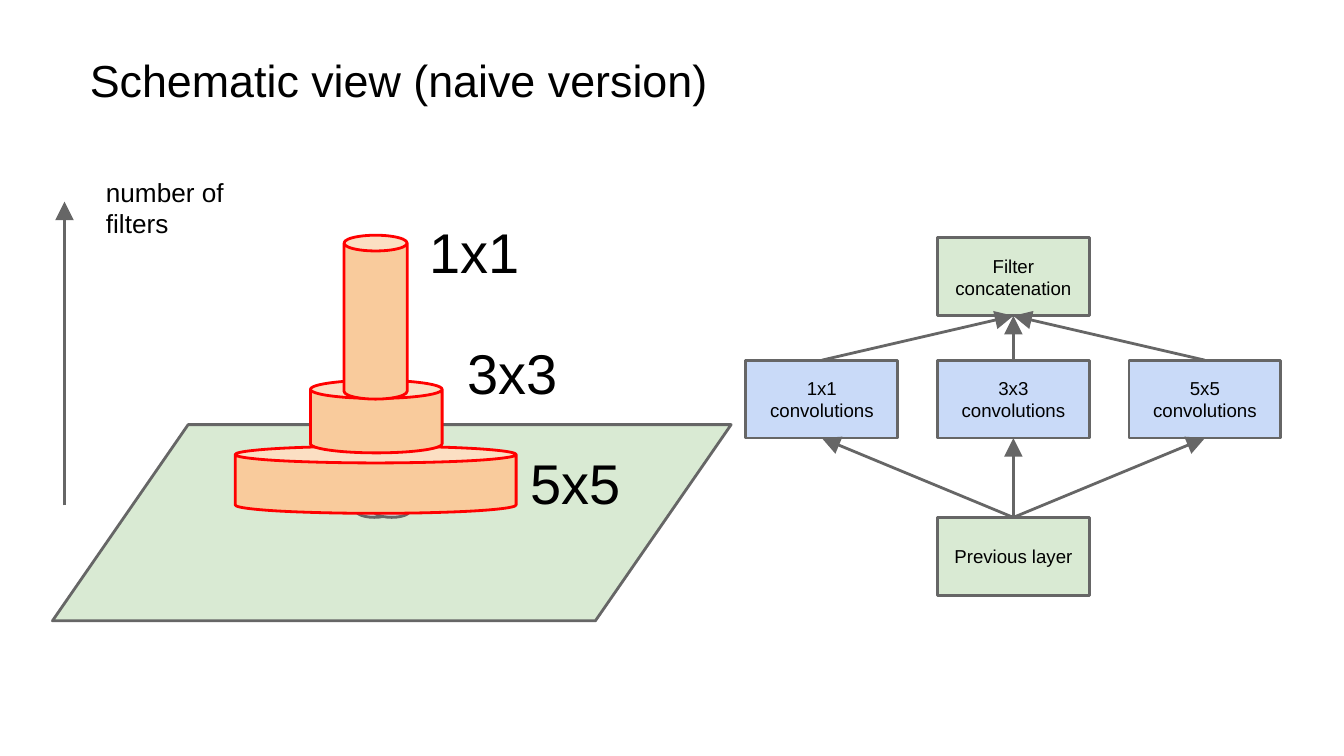
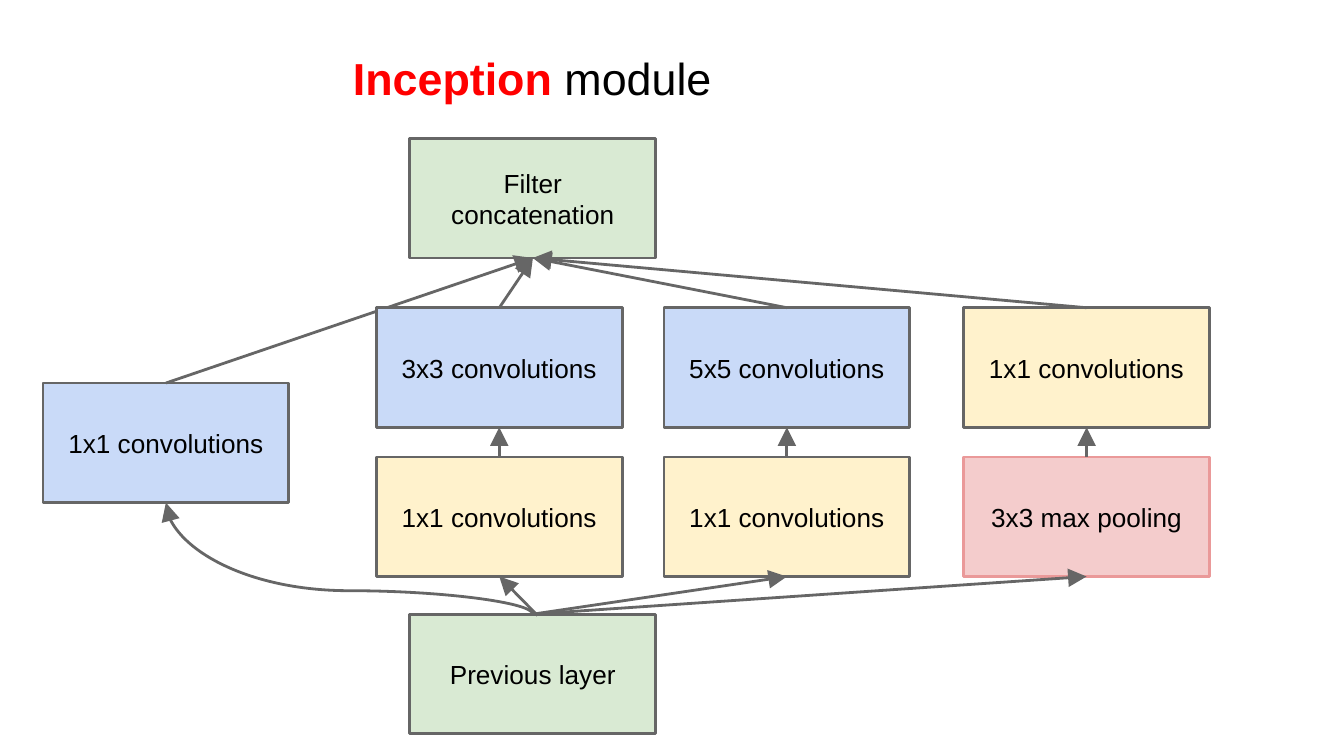
from pptx import Presentation
from pptx.util import Inches, Pt
from pptx.dml.color import RGBColor as Rgb
from pptx.enum.shapes import MSO_SHAPE as Kind, MSO_CONNECTOR as Link
from pptx.enum.text import PP_ALIGN as Align, MSO_ANCHOR as Anchor
from pptx.oxml.ns import qn
from lxml.etree import SubElement as Sub

HUES = {
    "ink": "000000", "red": "FF0000", "edge": "666666",
    "green": "D9EAD3", "blue": "C9DAF8", "cream": "FFF2CC",
    "pink": "F4CCCC", "rose": "EA9999", "peach": "F9CB9C", "gray": "CCCCCC",
}
FONT = "Arial"
COLS, ROWS = 100, 56.25
WIDE, HIGH = Inches(10), Inches(5.625)
TOP, LEFT, BASE, RIGHT = range(4)


def hue(name):
    return Rgb.from_string(HUES[name])


def span(x, y):
    return round(x * WIDE / COLS), round(y * HIGH / ROWS)


def place(box, x, y):
    return box[0] + x, box[1] + y


def write(shape, runs, size, align=Align.LEFT, anchor=Anchor.TOP):
    frame = shape.text_frame
    frame.word_wrap = True
    frame.vertical_anchor = anchor
    frame.margin_left = frame.margin_right = Inches(0.1)
    frame.margin_top = frame.margin_bottom = Inches(0.1)
    para = frame.paragraphs[0]
    para.alignment = align
    for text, tint, bold in runs:
        run = para.add_run()
        run.text = text
        run.font.name = FONT
        run.font.size = Pt(size)
        run.font.bold = bold
        run.font.color.rgb = hue(tint)


def label(slide, spot, size, runs, points, align=Align.LEFT):
    write(slide.shapes.add_textbox(*span(*spot), *span(*size)), runs, points, align)


def title(slide, box, runs, align=Align.LEFT):
    label(slide, box[:2], box[2:], runs, 24, align)


def stroke(line, tint):
    line.color.rgb = hue(tint)
    line.width = Pt(1.5)


def solid(slide, kind, spot, size, fill, edge="edge"):
    shape = slide.shapes.add_shape(kind, *span(*spot), *span(*size))
    shape.shadow.inherit = False
    shape.fill.solid()
    shape.fill.fore_color.rgb = hue(fill)
    stroke(shape.line, edge)
    Sub(shape.line._get_or_add_ln(), qn("a:round"))
    return shape


def node(slide, spot, size, text, points, fill, edge="edge"):
    shape = solid(slide, Kind.RECTANGLE, spot, size, fill, edge)
    write(shape, [(text, "ink", False)], points, Align.CENTER, Anchor.MIDDLE)
    return shape


def arrow(slide, start, end, kind=Link.STRAIGHT):
    line = slide.shapes.add_connector(kind, *span(*start), *span(*end))
    stroke(line.line, "edge")
    Sub(line.line._get_or_add_ln(), qn("a:tailEnd"), type="triangle", w="lg", len="lg")
    Sub(line._element.spPr, qn("a:effectLst"))
    return line


def join(slide, low, high):
    line = arrow(slide, (0, 0), (0, 0))
    line.begin_connect(low, TOP)
    line.end_connect(high, BASE)


def bend(slide, start, end, share):
    line = arrow(slide, start, end, Link.CURVE)
    wide, high = start[0] - end[0], start[1] - end[1]
    mid = (start[0] + end[0]) / 2, (start[1] + end[1]) / 2
    line.left, line.top = span(mid[0] - high / 2, mid[1] - wide / 2)
    line.width, line.height = span(high, wide)
    form = line._element.spPr.find(qn("a:xfrm"))
    form.attrib.pop("flipV", None)
    form.set("flipH", "1")
    form.set("rot", str(90 * 60000))
    geom = line._element.spPr.find(qn("a:prstGeom"))
    Sub(geom.find(qn("a:avLst")), qn("a:gd"), name="adj1", fmla=f"val {share * 1000:.0f}")


def stack(slide, box):
    solid(slide, Kind.FLOWCHART_DATA, place(box, 0, 19.5), (50.5, 14.6), "green")
    for x, y in [(0, 0), (0.9, 0.6), (1.9, 0), (2.7, 0.6), (0.9, 1), (2.2, 1), (0, 0.6)]:
        solid(slide, Kind.OVAL, place(box, 21.7 + x, 24.4 + y), (2.7, 1), "gray")
    label(slide, place(box, 3, 0), (14.4, 5.4), [("number of filters", "ink", False)], 14)
    arrow(slide, place(box, 0.9, 25.5), place(box, 0.9, 2.9))
    tiers = [
        ("5x5", 13.6, 21.1, 20.9, 5, 34.6, 20.3),
        ("3x3", 19.2, 16.2, 9.8, 5.4, 29.9, 12.1),
        ("1x1", 21.7, 5.4, 4.7, 12.2, 27.1, 3.1),
    ]
    for text, x, y, wide, high, side, top in tiers:
        solid(slide, Kind.CAN, place(box, x, y), (wide, high), "peach", "red")
        label(slide, place(box, side, top), (14.4, 6.4), [(text, "ink", False)], 30)


def naive(slide, box):
    size = 11.3, 5.8
    step = (box[2] - size[0]) / 2
    convs = [
        node(slide, place(box, i * step, 9.1), size, f"{n}x{n} convolutions", 10, "blue")
        for i, n in enumerate((1, 3, 5))
    ]
    head = node(slide, place(box, step, 0), size, "Filter concatenation", 10, "green")
    foot = node(slide, place(box, step, box[3] - size[1]), size, "Previous layer", 10, "green")
    for conv in convs:
        join(slide, conv, head)
        join(slide, foot, conv)


def module(slide, box):
    size = 18.3, 8.9
    hub, upper, lower = 27.3, 12.6, 23.7
    base = box[3] - size[1]

    def put(x, y, text, fill, edge="edge"):
        return node(slide, place(box, x, y), size, text, 14, fill, edge)

    side = put(0, 18.2, "1x1 convolutions", "blue")
    head = put(hub, 0, "Filter concatenation", "green")
    foot = put(hub, base, "Previous layer", "green")
    join(slide, side, head)
    lanes = [
        (24.8, "3x3 convolutions", "blue", "1x1 convolutions", "cream", "edge"),
        (46.2, "5x5 convolutions", "blue", "1x1 convolutions", "cream", "edge"),
        (68.5, "1x1 convolutions", "cream", "3x3 max pooling", "pink", "rose"),
    ]
    for i, (x, over, tint, under, fill, edge) in enumerate(lanes):
        high = put(x, upper, over, tint)
        low = put(x, lower, under, fill, edge)
        join(slide, high, head)
        join(slide, low, high)
        if i:
            join(slide, foot, low)
        else:
            line = arrow(slide, place(box, 36.8, base + 0.1),
                         place(box, x + size[0] / 2, lower + size[1]))
            line.end_connect(low, BASE)
    bend(slide, place(box, hub + size[0] / 2, base),
         place(box, size[0] / 2, 18.2 + size[1]), 21.1)


def main():
    deck = Presentation()
    deck.slide_width, deck.slide_height = WIDE, HIGH
    first, last = [deck.slides.add_slide(deck.slide_layouts[6]) for _ in range(2)]
    title(first, (5.7, 2.9, 91.8, 5.6), [("Schematic view (naive version)", "ink", False)])
    stack(first, (3.9, 12.1, 50.5, 34.1))
    naive(first, (55.5, 17.7, 39.8, 26.6))
    title(last, (16.1, 2.8, 47, 7.4),
          [("Inception", "red", True), (" module", "ink", False)], Align.CENTER)
    module(last, (3.2, 10.3, 86.8, 44.3))
    deck.save("out.pptx")


if __name__ == "__main__":
    main()
